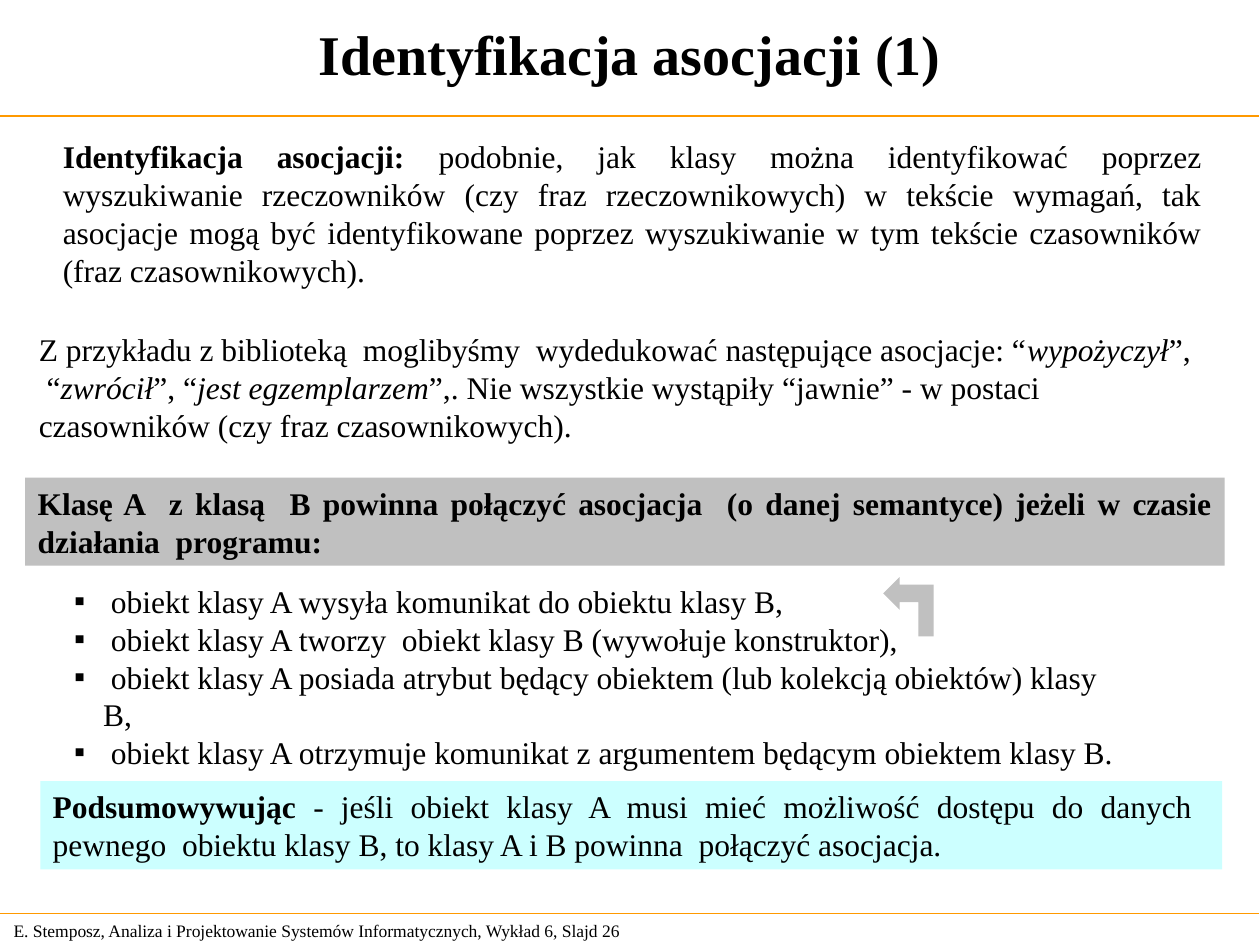
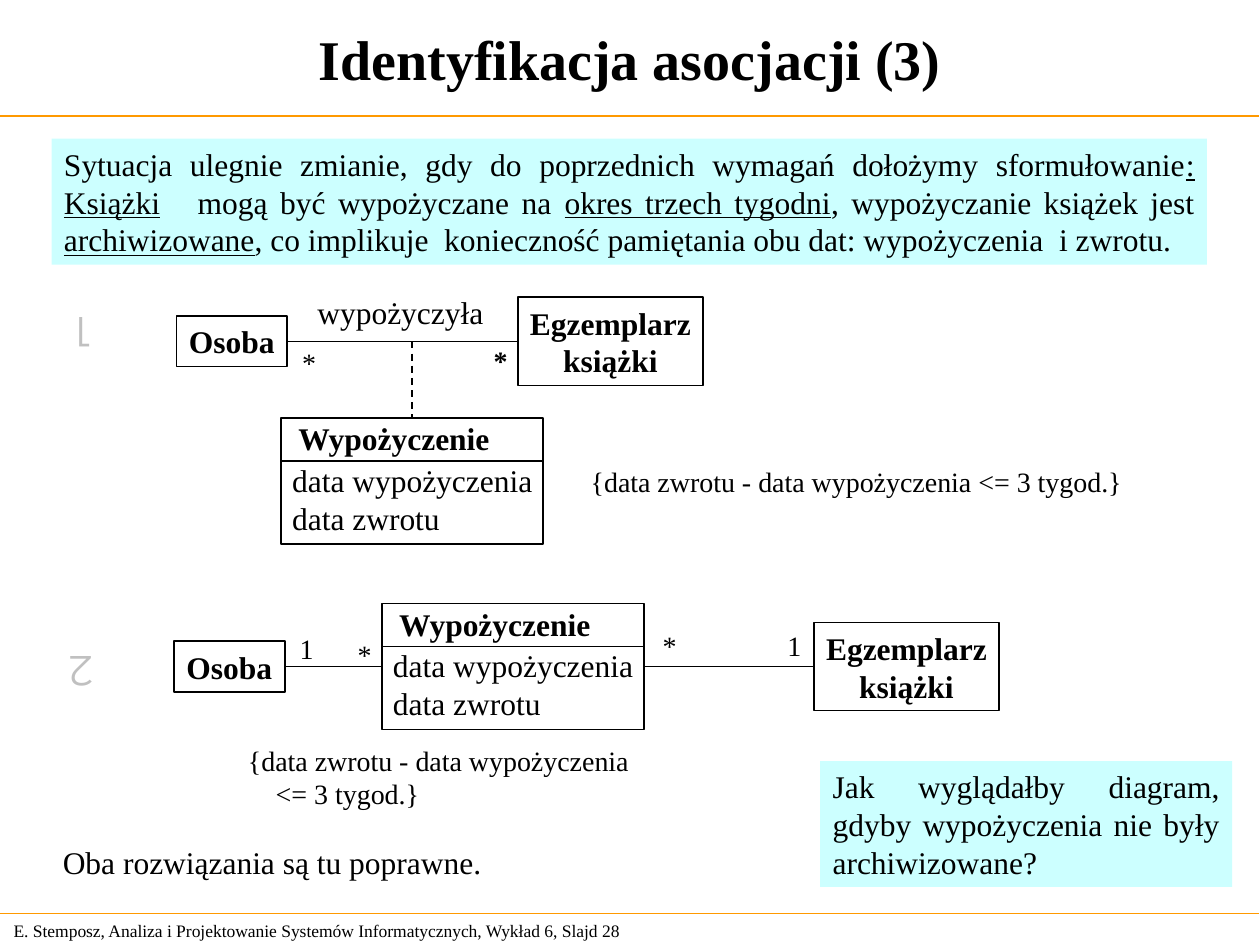
import pptx
import pptx.util
import pptx.dml.color
import pptx.enum.dml
import pptx.enum.shapes
import pptx.enum.text
import pptx.oxml.ns
import lxml.etree

Inches = pptx.util.Inches
Pt = pptx.util.Pt
rgb = pptx.dml.color.RGBColor.from_string
ALIGN = pptx.enum.text.PP_ALIGN
ANCHOR = pptx.enum.text.MSO_ANCHOR
qn = pptx.oxml.ns.qn

BLACK, ORANGE, GREY, CYAN = "000000", "FF9900", "C0C0C0", "CCFFFF"
SERIF = "Times New Roman"
TOP, LEFT, BOTTOM, RIGHT = range(4)


def write(paragraphs, slide, at, size=18, font=SERIF, colour=BLACK,
          style="", align=ALIGN.LEFT, anchor=ANCHOR.TOP, wrap=True,
          fill=None, border=None, bullet=None):
    """Each paragraph is a string or a list of (text, style); style mixes b, i, u."""
    place = [Inches(v) for v in at]
    if fill or border:
        box = slide.shapes.add_shape(pptx.enum.shapes.MSO_SHAPE.RECTANGLE, *place)
        box.shadow.inherit = False
        if fill:
            box.fill.solid()
            box.fill.fore_color.rgb = rgb(fill)
        else:
            box.fill.background()
        if border:
            box.line.color.rgb = rgb(border)
            box.line.width = Pt(1)
        else:
            box.line.fill.background()
    else:
        box = slide.shapes.add_textbox(*place)
    frame = box.text_frame
    frame.word_wrap = wrap
    frame.vertical_anchor = anchor
    for number, runs in enumerate(paragraphs):
        paragraph = frame.add_paragraph() if number else frame.paragraphs[0]
        paragraph.alignment = align
        if bullet:
            properties = paragraph._p.get_or_add_pPr()
            properties.set("marL", str(Inches(0.23)))
            properties.set("indent", str(-Inches(0.23)))
            lxml.etree.SubElement(properties, qn("a:buFont")).set("typeface", SERIF)
            lxml.etree.SubElement(properties, qn("a:buChar")).set("char", bullet)
        for text, run_style in [(runs, style)] if isinstance(runs, str) else runs:
            run = paragraph.add_run()
            run.text = text
            run.font.name = font
            run.font.size = Pt(size)
            run.font.color.rgb = rgb(colour)
            run.font.bold = "b" in run_style
            run.font.italic = "i" in run_style
            run.font.underline = "u" in run_style
    return box


def rule(slide, x1, y1, x2, y2, colour=BLACK, width=1):
    line = slide.shapes.add_connector(
        pptx.enum.shapes.MSO_CONNECTOR.STRAIGHT, Inches(x1), Inches(y1), Inches(x2), Inches(y2))
    line.line.color.rgb = rgb(colour)
    line.line.width = Pt(width)
    lxml.etree.SubElement(line._element.spPr, qn("a:effectLst"))
    return line


deck = pptx.Presentation()
deck.slide_width, deck.slide_height = Inches(10), Inches(7.5)

# Shared frame: footer, two rules and title
slides = []
for part, page, title_height in [(1, 26, 0.85), (3, 28, 0.92)]:
    slide = deck.slides.add_slide(deck.slide_layouts[6])
    write([f"E. Stemposz, Analiza i Projektowanie Systemów Informatycznych, Wykład 6, Slajd {page}"],
          slide, (0.01, 7.25, 5.24, 0.27), size=10, anchor=ANCHOR.MIDDLE)
    for y in (0.92, 7.25):
        rule(slide, -0.01, y, 9.99, y, ORANGE, 0.75)
    write([f"Identyfikacja asocjacji ({part})"], slide, (0, 0, 10, title_height),
          size=32, style="b", align=ALIGN.CENTER, anchor=ANCHOR.MIDDLE)
    slides.append(slide)
finding, variants = slides

# Slide 1: how associations are found
write([[("Identyfikacja asocjacji: ", "b"),
        ("podobnie, jak klasy można identyfikować poprzez wyszukiwanie rzeczowników "
         "(czy fraz rzeczownikowych) w tekście wymagań, tak asocjacje mogą być identyfikowane "
         "poprzez wyszukiwanie w tym tekście czasowników (fraz czasownikowych).", "")]],
      finding, (0.4, 1.04, 9.24, 1.3), align=ALIGN.JUSTIFY)
write([[("Z przykładu z biblioteką  moglibyśmy  wydedukować następujące asocjacje: “", ""),
        ("wypożyczył", "i"), ("”,", "")],
       [(" “", ""), ("zwrócił", "i"), ("”, “", ""), ("jest egzemplarzem", "i"),
        ("”,. Nie wszystkie wystąpiły “jawnie” - w postaci", "")],
       "czasowników (czy fraz czasownikowych)."],
      finding, (0.21, 2.57, 9.44, 1))

# Conditions for an association
write(["Klasę A  z klasą  B powinna połączyć asocjacja  (o danej semantyce) "
       "jeżeli w czasie działania  programu:"],
      finding, (0.2, 3.79, 9.52, 0.7), style="b", align=ALIGN.JUSTIFY, fill=GREY)
write([" obiekt klasy A wysyła komunikat do obiektu klasy B,",
       " obiekt klasy A tworzy  obiekt klasy B (wywołuje konstruktor),",
       " obiekt klasy A posiada atrybut będący obiektem (lub kolekcją obiektów) klasy B,",
       " obiekt klasy A otrzymuje komunikat z argumentem będącym obiektem klasy B."],
      finding, (0.49, 4.57, 8.53, 1.6), bullet="▪")
write([[("Podsumowywując ", "b"),
        ("- jeśli obiekt klasy A musi mieć możliwość dostępu do danych  pewnego  obiektu "
         "klasy B, to klasy A i B powinna  połączyć asocjacja. ", "")]],
      finding, (0.32, 6.2, 9.38, 0.7), align=ALIGN.JUSTIFY, fill=CYAN)

# Bent arrow from the second condition back to the first
outline = [(7.29, 5.05), (7.29, 4.78), (7.14, 4.78), (7.14, 4.84), (7.01, 4.71),
           (7.14, 4.58), (7.14, 4.64), (7.41, 4.64), (7.41, 5.05)]
corners = [(Inches(x), Inches(y)) for x, y in outline]
builder = finding.shapes.build_freeform(*corners[0])
builder.add_line_segments(corners[1:], close=True)
back_arrow = builder.convert_to_shape()
back_arrow.shadow.inherit = False
back_arrow.fill.solid()
back_arrow.fill.fore_color.rgb = rgb(GREY)
back_arrow.line.fill.background()

# Slide 2: changed requirements
write([[("Sytuacja ulegnie zmianie, gdy do poprzednich wymagań dołożymy sformułowanie", ""),
        (": Książki", "u"), ("   mogą być wypożyczane na ", ""), ("okres trzech tygodni", "u"),
        (", wypożyczanie książek jest ", ""), ("archiwizowane", "u"),
        (", co implikuje  konieczność pamiętania obu dat: wypożyczenia  i zwrotu.", "")]],
      variants, (0.41, 1.1, 9.17, 1), align=ALIGN.JUSTIFY, fill=CYAN)

# Classes of both variants: person, copy of a book, loan
people, copies, loans = [], [], []
for person_x, copy_x, axis_y, loan_x, loan_y in [(1.4, 4.11, 2.71, 2.23, 3.32),
                                                 (1.38, 6.46, 5.29, 3.03, 4.79)]:
    for group, name, at in [
            (people, ["Osoba"], (person_x, axis_y - 0.2, 0.88, 0.4)),
            (copies, ["Egzemplarz", "książki"], (copy_x, axis_y - 0.35, 1.47, 0.7)),
            (loans, [], (loan_x, loan_y, 2.08, 1))]:
        group.append(write(name, variants, at, style="b", align=ALIGN.CENTER,
                           anchor=ANCHOR.MIDDLE, wrap=False, border=BLACK))
    write(["Wypożyczenie"], variants, (loan_x + 0.04, loan_y - 0.04, 1.72, 0.4),
          style="b", wrap=False)
    write(["data wypożyczenia", "data zwrotu"], variants,
          (loan_x - 0.01, loan_y + 0.29, 2.11, 0.7), wrap=False)
    rule(variants, loan_x, loan_y + 0.34, loan_x + 2.08, loan_y + 0.34)

# Associations between the classes
for start, end in [(people[0], copies[0]), (people[1], loans[1]), (loans[1], copies[1])]:
    association = rule(variants, 0, 0, 1, 1)
    association.begin_connect(start, RIGHT)
    association.end_connect(end, LEFT)
association_class = rule(variants, 3.27, 2.71, 3.27, 3.32)
association_class.end_connect(loans[0], TOP)
association_class.line.dash_style = pptx.enum.dml.MSO_LINE.DASH

# Association name and multiplicities
write(["wypożyczyła"], variants, (2.42, 2.28, 1.52, 0.4), wrap=False)
for mark, x, y, style in [("*", 2.3, 2.69, ""), ("*", 3.82, 2.68, "b"), ("1", 2.28, 4.96, ""),
                          ("*", 2.74, 5.01, ""), ("*", 5.16, 4.94, ""), ("1", 6.15, 4.94, "")]:
    write([mark], variants, (x, y, 0.31, 0.37), size=16, style=style, wrap=False)

# Constraints
write(["{data zwrotu - data wypożyczenia <= 3 tygod.}"],
      variants, (4.59, 3.64, 5, 0.37), size=16)
constraint = write(["{data zwrotu - data wypożyczenia", "<= 3 tygod.}"],
                   variants, (1.87, 5.85, 3.6, 0.64), size=16)
constraint.text_frame.paragraphs[1]._p.get_or_add_pPr().set("marL", str(Inches(0.22)))

# Variant numbers, turned upside down
for number, x, y in [("1", 0.4, 2.4), ("2", 0.39, 5.09)]:
    write([number], variants, (x, y, 0.5, 0.5), size=24, font="Montserrat", colour=GREY,
          align=ALIGN.CENTER, anchor=ANCHOR.MIDDLE, wrap=False).rotation = 180

# Conclusion and question
write(["Oba rozwiązania są tu poprawne."], variants, (0.4, 6.64, 4.5, 0.4))
write(["Jak wyglądałby diagram, gdyby wypożyczenia nie były archiwizowane?"],
      variants, (6.51, 6.04, 3.27, 1), align=ALIGN.JUSTIFY, fill=CYAN)

deck.save("out.pptx")
